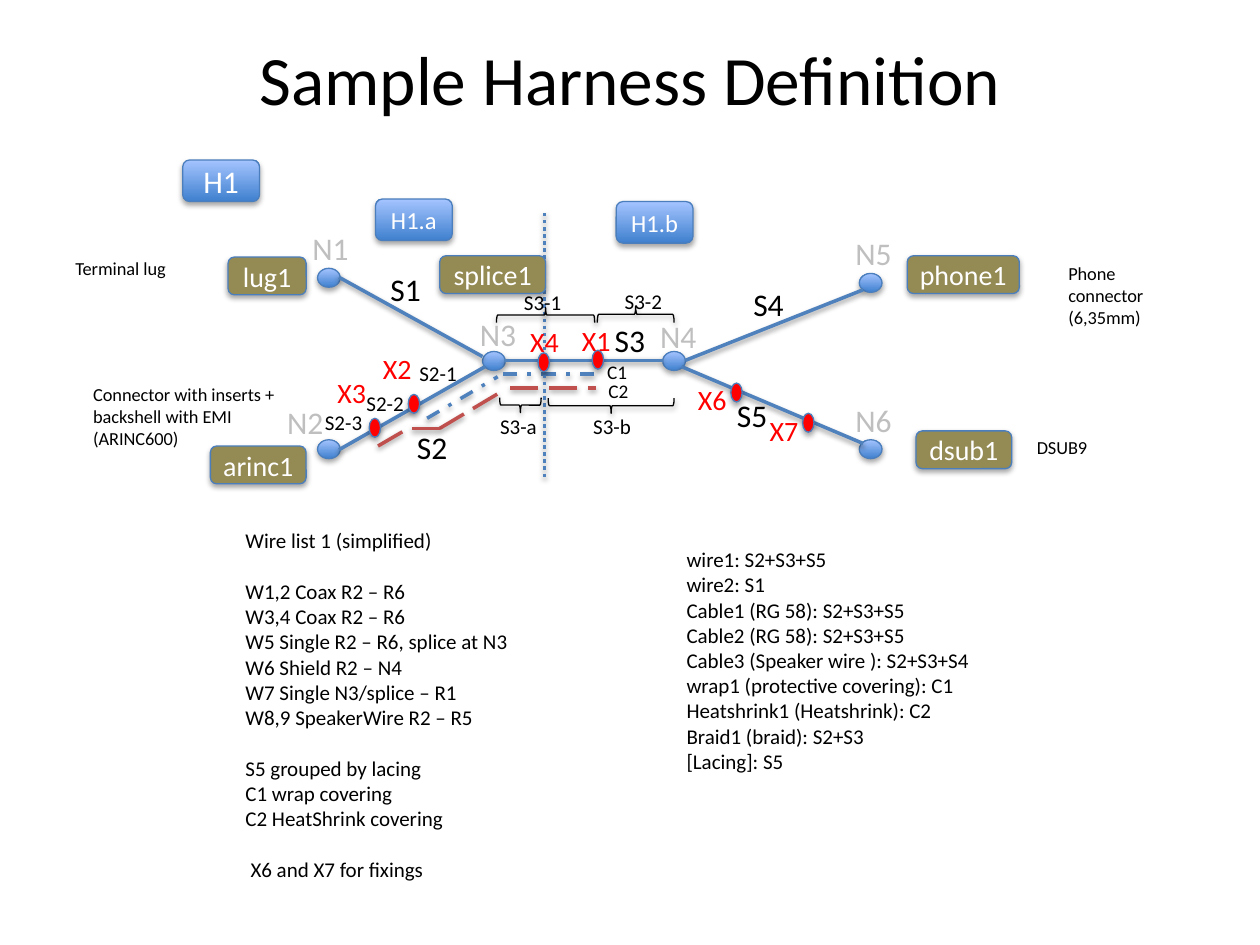
from dataclasses import dataclass

from lxml import etree
from pptx import Presentation
from pptx import util as u
from pptx.dml.color import RGBColor
from pptx.enum import dml, shapes, text
from pptx.oxml.ns import qn


@dataclass(frozen=True)
class Theme:
    font: str = "Calibri"
    black: str = "000000"
    white: str = "FFFFFF"
    grey: str = "BFBFBF"
    red: str = "FF0000"
    olive: str = "948A54"
    edge: str = "4B7EBC"
    blue: str = "4F81BD"
    brick: str = "C0504D"
    deep: str = "3F80CE"
    pale: str = "A4C4FF"
    title: float = 39.6
    large: float = 18
    mid: float = 16
    chip: float = 14
    small: float = 12
    tiny: float = 11
    note: float = 10.5


def shade(prop, alpha, dist):
    """Give the shape properties a soft shadow that falls straight down."""
    effect = prop.find(qn("a:effectLst"))
    if effect is None:
        effect = etree.SubElement(prop, qn("a:effectLst"))
    drop = etree.SubElement(effect, qn("a:outerShdw"), blurRad=str(u.Pt(3.1)),
                            dist=str(u.Pt(dist)), dir="5400000", rotWithShape="0")
    tint = etree.SubElement(drop, qn("a:srgbClr"), val=look.black)
    etree.SubElement(tint, qn("a:alpha"), val=str(alpha * 1000))


def write(frame, words, size, hue, align=text.PP_ALIGN.LEFT):
    frame.word_wrap = True
    frame.text = words
    for para in frame.paragraphs:
        para.alignment = align
        para.font.name = look.font
        para.font.size = u.Pt(size)
        para.font.color.rgb = RGBColor.from_string(hue)


look = Theme()
deck = Presentation()
deck.slide_width, deck.slide_height = u.Inches(10), u.Inches(7.5)
slide = deck.slides.add_slide(deck.slide_layouts[5])
center = text.PP_ALIGN.CENTER
kinds = shapes.MSO_SHAPE

title = slide.shapes.title
title.left, title.top = u.Inches(0.5), u.Inches(0.3)
title.width, title.height = u.Inches(9), u.Inches(0.63)
write(title.text_frame, "Sample Harness Definition", look.title, look.black, center)
title.text_frame.vertical_anchor = text.MSO_ANCHOR.MIDDLE

# Harness names and nodes share the gradient: kind, box, words, size
chips = [(kinds.ROUNDED_RECTANGLE, x, y, 0.61, 0.33, words, size) for x, y, words, size in [
    (1.45, 1.27, "H1", look.large),
    (2.98, 1.58, "H1.a", look.chip),
    (4.89, 1.6, "H1.b", look.chip),
]]
nodes = [(kinds.OVAL, x, y, 0.18, 0.15, "", look.large) for x, y in [
    (2.52, 2.13), (2.52, 3.49), (3.83, 2.79), (5.26, 2.79), (6.82, 2.17), (6.82, 3.49)]]
for kind, x, y, w, h, words, size in chips + nodes:
    form = slide.shapes.add_shape(kind, *map(u.Inches, (x, y, w, h)))
    form.fill.gradient()
    form.fill.gradient_angle = 90
    for stop, hue in zip(form.fill.gradient_stops, (look.deep, look.pale)):
        stop.color.rgb = RGBColor.from_string(hue)
    form.line.color.rgb = RGBColor.from_string(look.edge)
    form.line.width = u.Pt(0.75)
    form.shadow.inherit = False
    shade(form._element.spPr, 35, 1.8)
    if words:
        write(form.text_frame, words, size, look.white, center)

# Segments, then the two coverings, then the split between H1.a and H1.b
dash = dml.MSO_LINE
lines = [(look.blue, dash.SOLID, [
    (2.69, 2.2, 3.83, 2.83), (2.69, 3.57, 3.85, 2.91), (4, 2.86, 5.26, 2.86),
    (5.41, 2.91, 6.85, 3.52), (5.44, 2.86, 6.85, 2.3)]),
    (look.blue, dash.DASH_DOT, [(3.39, 3.32, 3.95, 2.99), (3.99, 2.97, 4.73, 2.97)]),
    (look.brick, dash.LONG_DASH, [
        (3.49, 3.4, 4.01, 3.09), (4.05, 3.08, 4.73, 3.08),
        (3.49, 3.4, 3.24, 3.4), (3, 3.54, 3.24, 3.4)]),
    (look.blue, dash.ROUND_DOT, [(4.32, 1.69, 4.32, 3.81)])]
for hue, style, spans in lines:
    for span in spans:
        wire = slide.shapes.add_connector(shapes.MSO_CONNECTOR.STRAIGHT, *map(u.Inches, span))
        wire.line.color.rgb = RGBColor.from_string(hue)
        wire.line.width = u.Pt(2)
        wire.line.dash_style = style
        shade(wire._element.spPr, 38, 1.6)

# Connector tags and the red fixing points
tags = [(kinds.ROUNDED_RECTANGLE, x, y, w, 0.3, look.olive, words) for x, y, w, words in [
    (1.81, 2.04, 0.62, "lug1"), (1.67, 3.54, 0.76, "arinc1"), (7.27, 3.42, 0.76, "dsub1"),
    (7.2, 2.03, 0.89, "phone1"), (3.49, 2.03, 0.84, "splice1")]]
dots = [(kinds.OVAL, x, y, 0.09, 0.15, look.red, "") for x, y in [
    (3.24, 3.13), (2.93, 3.32), (4.7, 2.78), (4.27, 2.8), (5.8, 3.04), (6.37, 3.28)]]
for kind, x, y, w, h, hue, words in dots + tags:
    form = slide.shapes.add_shape(kind, *map(u.Inches, (x, y, w, h)))
    form.fill.solid()
    form.fill.fore_color.rgb = RGBColor.from_string(hue)
    form.line.color.rgb = RGBColor.from_string(look.edge)
    form.line.width = u.Pt(0.75)
    form.shadow.inherit = False
    shade(form._element.spPr, 35, 1.8)
    if words:
        frame = form.text_frame
        frame.margin_left = frame.margin_right = frame.margin_top = frame.margin_bottom = 0
        write(frame, words, look.mid, look.white, center)

for x, y, w, h, turn in [(4.27, 2.11, 0.12, 0.78, 270), (4.98, 2.19, 0.13, 0.61, 270),
                         (4.79, 2.72, 0.12, 1, 90), (4.07, 3.05, 0.12, 0.33, 90)]:
    brace = slide.shapes.add_shape(kinds.RIGHT_BRACE, *map(u.Inches, (x, y, w, h)))
    brace.rotation = turn
    brace.fill.background()
    brace.line.color.rgb = RGBColor.from_string(look.black)
    brace.line.width = u.Pt(0.75)
    brace.shadow.inherit = False
    shade(brace._element.spPr, 38, 1.6)

# Labels by style: size, colour, height, places
labels = [
    (look.large, look.grey, 0.4, [
        ("N1", 2.38, 1.77), ("N2", 2.18, 3.15), ("N3", 3.71, 2.45),
        ("N4", 5.14, 2.47), ("N5", 6.69, 1.81), ("N6", 6.69, 3.13)]),
    (look.large, look.black, 0.4, [
        ("S1", 3, 2.09), ("S2", 3.21, 3.35), ("S3", 4.78, 2.5),
        ("S4", 5.88, 2.21), ("S5", 5.75, 3.09)]),
    (look.mid, look.red, 0.37, [
        ("X1", 4.52, 2.52), ("X2", 2.94, 2.74), ("X3", 2.58, 2.93),
        ("X4", 4.11, 2.53), ("X6", 5.44, 2.99), ("X7", 6.01, 3.23)]),
    (look.small, look.black, 0.3, [
        ("S2-1", 3.23, 2.81), ("S2-2", 2.81, 3.05), ("S2-3", 2.48, 3.2),
        ("S3-1", 4.06, 2.25), ("S3-2", 4.86, 2.24),
        ("S3-a", 3.87, 3.23), ("S3-b", 4.61, 3.23)]),
    (look.tiny, look.black, 0.29, [("C1", 4.72, 2.81), ("C2", 4.73, 2.96)]),
]
notes = [(words, x, y, 0.52, h, size, hue)
         for size, hue, h, spots in labels for words, x, y in spots]
notes += [(words, x, y, w, h, look.note, look.black) for words, x, y, w, h in [
    ("Connector with inserts + backshell with EMI\n(ARINC600)", 0.64, 2.99, 1.68, 0.63),
    ("Terminal lug", 0.5, 1.99, 0.96, 0.28),
    ("DSUB9", 8.13, 3.41, 1.19, 0.28),
    ("Phone connector (6,35mm)", 8.38, 2.03, 1.19, 0.63)]]

cover = """wire1: S2+S3+S5
wire2: S1
Cable1 (RG 58): S2+S3+S5
Cable2 (RG 58): S2+S3+S5
Cable3 (Speaker wire ): S2+S3+S4
wrap1 (protective covering): C1
Heatshrink1 (Heatshrink): C2
Braid1 (braid): S2+S3
[Lacing]: S5"""
wires = """Wire list 1 (simplified)
W1,2 Coax R2 – R6
W3,4 Coax R2 – R6
W5 Single R2 – R6, splice at N3
W6 Shield R2 – N4
W7 Single N3/splice – R1
W8,9 SpeakerWire R2 – R5
S5 grouped by lacing
C1 wrap covering
C2 HeatShrink covering
X6 and X7 for fixings"""
notes += [(cover, 5.35, 4.29, 3.38, 1.92, look.small, look.black),
          (wires, 1.85, 4.14, 6.53, 2.93, look.small, look.black)]
for words, x, y, w, h, size, hue in notes:
    box = slide.shapes.add_textbox(*map(u.Inches, (x, y, w, h)))
    write(box.text_frame, words, size, hue)
    box.text_frame.auto_size = text.MSO_AUTO_SIZE.SHAPE_TO_FIT_TEXT

# The wire list comes last: one line of space opens each of its groups
paras = box.text_frame.paragraphs
for start in (1, 7, 10):
    paras[start].space_before = u.Pt(14.6)
paras[-1]._p.get_or_add_pPr().set("marL", str(u.Inches(0.04)))

deck.save("out.pptx")
